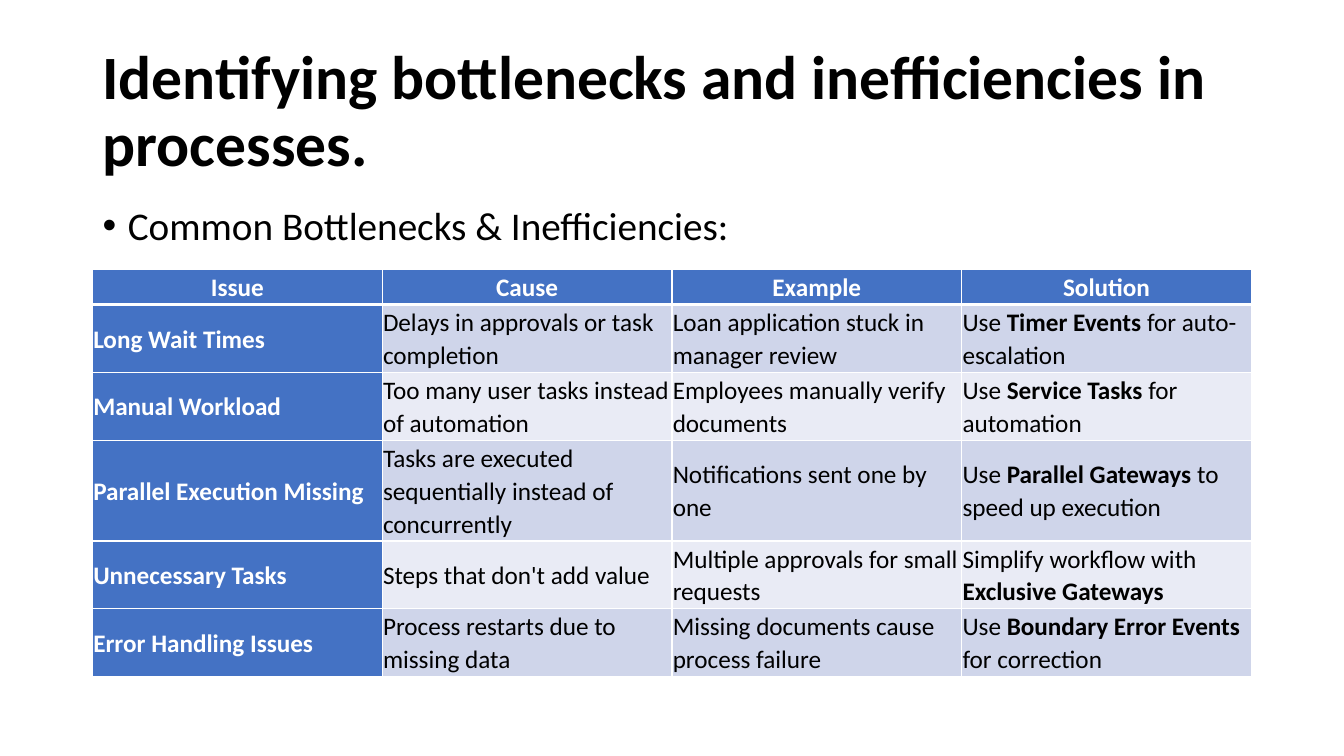
from lxml import etree
from pptx import Presentation
from pptx import util as u
from pptx.dml.color import RGBColor
from pptx.enum import text
from pptx.oxml.ns import qn

BLACK, WHITE, BLUE = "000000", "FFFFFF", "4472C4"
BANDS = ["CFD5EA", "E9EBF5"]
LEFT, WIDTH = u.Cm(2.33), u.Cm(29.21)


def style_span(span, size, color, bold=False):
    span.font.name = "Calibri"
    span.font.size = u.Pt(size)
    span.font.bold = bold
    span.font.color.rgb = RGBColor.from_string(color)


def add_borders(cell, top, bottom):
    """Give a cell white borders; top and bottom are widths in points."""
    properties = cell._tc.get_or_add_tcPr()
    sides = [("a:lnL", 1), ("a:lnR", 1), ("a:lnT", top), ("a:lnB", bottom)]
    for position, (side, width) in enumerate(sides):
        line = etree.Element(qn(side), w=str(u.Pt(width)))
        fill = etree.SubElement(line, qn("a:solidFill"))
        etree.SubElement(fill, qn("a:srgbClr"), val=WHITE)
        properties.insert(position, line)


deck = Presentation()
deck.slide_width, deck.slide_height = u.Cm(33.87), u.Cm(19.05)
page = deck.slides.add_slide(deck.slide_layouts[1])

# Title and bullet line
title, body = page.placeholders
texts = [
    (title, 1.01, 3.68, "Identifying bottlenecks and inefficiencies in processes.",
     44, True, text.MSO_ANCHOR.MIDDLE),
    (body, 5.08, 12.09, "Common Bottlenecks & Inefficiencies:",
     28, False, text.MSO_ANCHOR.TOP),
]
for box, top, height, words, size, bold, anchor in texts:
    box.left, box.top, box.width, box.height = LEFT, u.Cm(top), WIDTH, u.Cm(height)
    frame = box.text_frame
    frame.text = words
    frame.word_wrap = True
    frame.auto_size = text.MSO_AUTO_SIZE.NONE
    frame.vertical_anchor = anchor
    para = frame.paragraphs[0]
    para.alignment = text.PP_ALIGN.LEFT
    para.line_spacing = 0.9
    style_span(para.runs[0], size, BLACK, bold)

bullet = body.text_frame.paragraphs[0]
bullet.space_before = u.Pt(10)
bullet_properties = bullet._p.get_or_add_pPr()
bullet_properties.set("marL", str(u.Cm(0.64)))
bullet_properties.set("indent", str(u.Cm(-0.64)))

# Table content: asterisks enclose bold words
rows = [
    ["Issue", "Cause", "Example", "Solution"],
    ["Long Wait Times", "Delays in approvals or task completion",
     "Loan application stuck in manager review",
     "Use *Timer Events *for auto-escalation"],
    ["Manual Workload", "Too many user tasks instead of automation",
     "Employees manually verify documents",
     "Use *Service Tasks *for automation"],
    ["Parallel Execution Missing",
     "Tasks are executed sequentially instead of concurrently",
     "Notifications sent one by one",
     "Use *Parallel Gateways *to speed up execution"],
    ["Unnecessary Tasks", "Steps that don't add value",
     "Multiple approvals for small requests",
     "Simplify workflow with *Exclusive Gateways*"],
    ["Error Handling Issues", "Process restarts due to missing data",
     "Missing documents cause process failure",
     "Use *Boundary Error Events *for correction"],
]
row_heights = [0.88, 1.71, 1.71, 2.54, 1.71, 1.71]

# Table
table = page.shapes.add_table(len(rows), len(rows[0]), LEFT, u.Cm(6.79),
                              WIDTH, u.Cm(sum(row_heights))).table
table.first_col = True
for column in table.columns:
    column.width = WIDTH // len(rows[0])

for r, (row, height) in enumerate(zip(rows, row_heights)):
    table.rows[r].height = u.Cm(height)
    for c, words in enumerate(row):
        cell = table.cell(r, c)
        heading = r == 0 or c == 0
        cell.fill.solid()
        cell.fill.fore_color.rgb = RGBColor.from_string(
            BLUE if heading else BANDS[(r - 1) % 2])
        add_borders(cell, 3 if r == 1 else 1, 3 if r == 0 else 1)
        cell.vertical_anchor = text.MSO_ANCHOR.MIDDLE
        cell.margin_left = cell.margin_right = u.Cm(0.02)
        cell.margin_top = cell.margin_bottom = u.Cm(0.02)

        para = cell.text_frame.paragraphs[0]
        para.alignment = text.PP_ALIGN.CENTER if r == 0 else text.PP_ALIGN.LEFT
        para.line_spacing = 1.07
        para.space_after = u.Pt(8)
        for i, part in enumerate(words.split("*")):
            if part:
                span = para.add_run()
                span.text = part
                style_span(span, 18, WHITE if heading else BLACK,
                           heading or i % 2 == 1)

deck.save("out.pptx")
